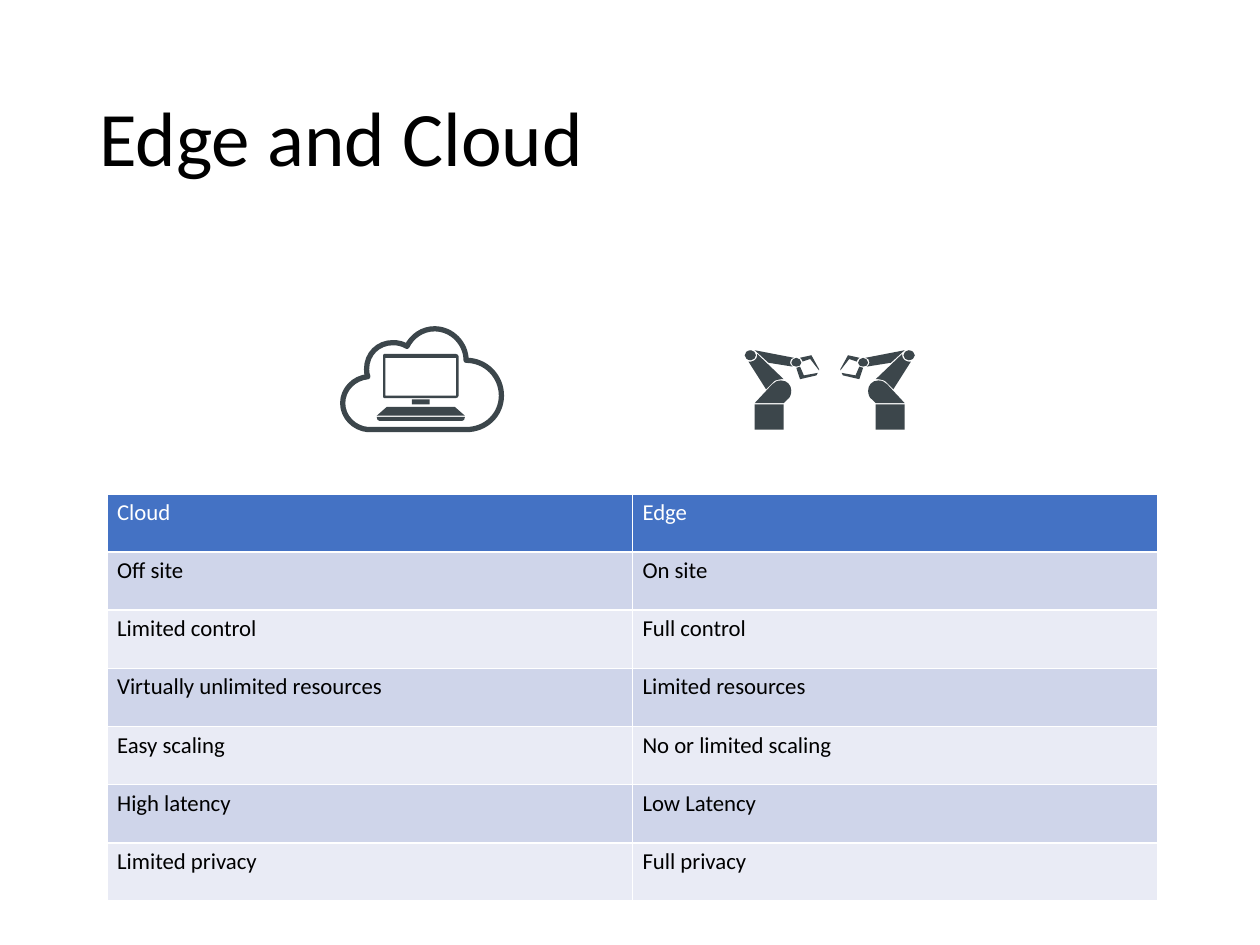
from lxml.etree import SubElement as Sub
from pptx import Presentation
from pptx.dml.color import RGBColor as Rgb
from pptx.enum.text import MSO_ANCHOR as Anchor
from pptx.oxml.ns import qn
from pptx.util import Inches, Pt


class Theme:
    font = "Calibri"
    title, body = 44, 13
    black, white = "000000", "FFFFFF"
    head, bands = "4472C4", ("E9EBF5", "CFD5EA")
    icon = "3C464B"


def write(frame, text, size=Theme.body, color=Theme.black, space=1.0):
    frame.word_wrap = True
    para = frame.paragraphs[0]
    para.line_spacing = space
    run = para.add_run()
    run.text = text
    run.font.name = Theme.font
    run.font.size = Pt(size)
    run.font.color.rgb = Rgb.from_string(color)


def trace(loops, axis=None):
    pen, steps = None, []
    for loop in loops:
        dots = [
            [(Inches(2 * axis - x if axis else x), Inches(y))
             for x, y in zip(step[::2], step[1::2])]
            for step in loop
        ]
        if pen is None:
            pen = slide.shapes.build_freeform(*dots[0][0], scale=1.0)
        else:
            pen.move_to(*dots[0][0])
        pen.add_line_segments([dot[-1] for dot in dots[1:]], close=True)
        steps += dots[1:]
    shape = pen.convert_to_shape()
    lines = list(shape._element.iter(qn("a:lnTo")))
    for line, step in zip(lines, steps):
        if len(step) == 3:
            line.tag = qn("a:cubicBezTo")
            line.clear()
            for x, y in step:
                Sub(line, qn("a:pt"), x=str(x - shape.left), y=str(y - shape.top))
    shape.shadow.inherit = False
    shape.fill.solid()
    shape.fill.fore_color.rgb = Rgb.from_string(Theme.icon)
    shape.line.fill.background()
    return shape


deck = Presentation()
deck.slide_width, deck.slide_height = Inches(10), Inches(7.5)
slide = deck.slides.add_slide(deck.slide_layouts[6])

title = slide.shapes.add_textbox(Inches(0.69), Inches(0.4), Inches(8.62), Inches(1.45)).text_frame
title.vertical_anchor = Anchor.MIDDLE
write(title, "Edge and Cloud", size=Theme.title, space=0.9)

rows = [
    ("Cloud", "Edge"),
    ("Off site", "On site"),
    ("Limited control", "Full control"),
    ("Virtually unlimited resources", "Limited resources"),
    ("Easy scaling", "No or limited scaling"),
    ("High latency", "Low Latency"),
    ("Limited privacy", "Full privacy"),
]
grid = slide.shapes.add_table(
    len(rows), 2, Inches(0.85), Inches(3.92), Inches(8.34), Inches(3.23)
).table
for r, row in enumerate(rows):
    for c, text in enumerate(row):
        cell = grid.cell(r, c)
        cell.margin_left = cell.margin_right = Inches(0.08)
        cell.margin_top = cell.margin_bottom = Inches(0.04)
        props = cell._tc.get_or_add_tcPr()
        for side in "LRTB":
            edge = Sub(props, qn(f"a:ln{side}"), w=str(Pt(1)))
            Sub(Sub(edge, qn("a:solidFill")), qn("a:srgbClr"), val=Theme.white)
        cell.fill.solid()
        cell.fill.fore_color.rgb = Rgb.from_string(Theme.bands[r % 2] if r else Theme.head)
        write(cell.text_frame, text, color=Theme.black if r else Theme.white)

cloud = trace([[
    (3.7, 3.41), (2.92, 3.41),
    (2.81, 3.4, 2.72, 3.31, 2.72, 3.2),
    (2.72, 3.09, 2.81, 3, 2.92, 2.99),
    (2.91, 2.97, 2.91, 2.95, 2.91, 2.93),
    (2.91, 2.81, 3, 2.72, 3.12, 2.72),
    (3.16, 2.72, 3.2, 2.73, 3.23, 2.75),
    (3.27, 2.67, 3.35, 2.61, 3.45, 2.61),
    (3.59, 2.61, 3.7, 2.73, 3.7, 2.86),
    (3.86, 2.86, 3.98, 2.99, 3.98, 3.14),
    (3.98, 3.29, 3.86, 3.41, 3.7, 3.41),
]])
cloud.fill.background()
cloud.line.color.rgb = Rgb.from_string(Theme.icon)
cloud.line.width = Pt(3)

boxes = [(3.06, 2.84, 3.62, 3.14), (3.27, 3.17, 3.41, 3.21)]
trace([[(l, t), (r, t), (r, b), (l, b)] for l, t, r, b in boxes] + [
    [(3.04, 2.83), (3.04, 2.82, 3.04, 2.81, 3.05, 2.81), (3.62, 2.81),
     (3.63, 2.81, 3.64, 2.82, 3.64, 2.83), (3.64, 3.14),
     (3.64, 3.15, 3.63, 3.16, 3.62, 3.16), (3.05, 3.16),
     (3.04, 3.16, 3.04, 3.15, 3.04, 3.14)],
    [(2.99, 3.31), (3.69, 3.31), (3.69, 3.33, 3.68, 3.34, 3.67, 3.34),
     (3.01, 3.34), (3, 3.34, 2.99, 3.33, 2.99, 3.31)],
    [(3.07, 3.23), (3.61, 3.23), (3.69, 3.3), (2.99, 3.3)],
])

robot = [
    [(6.5, 2.93), (6.5, 2.94), (6.43, 2.85), (6.37, 2.87),
     (6.37, 2.86, 6.36, 2.85, 6.35, 2.84), (6.44, 2.82)],
    [(6.32, 2.92), (6.33, 2.92, 6.34, 2.92, 6.35, 2.91), (6.38, 2.98),
     (6.49, 2.96), (6.48, 2.98), (6.35, 3.01)],
    [(6.22, 3.41), (5.99, 3.41), (5.99, 3.21), (6.22, 3.21)],
    [(5.96, 2.86), (5.93, 2.86, 5.91, 2.84, 5.91, 2.82), (5.91, 2.8, 5.93, 2.78, 5.96, 2.78),
     (5.98, 2.78, 6, 2.8, 6, 2.82), (6, 2.84, 5.98, 2.86, 5.96, 2.86)],
    [(6.32, 2.91), (6.3, 2.91, 6.28, 2.9, 6.28, 2.88), (6.28, 2.86, 6.3, 2.84, 6.32, 2.84),
     (6.34, 2.84, 6.36, 2.86, 6.36, 2.88), (6.36, 2.9, 6.34, 2.91, 6.32, 2.91)],
    [(6.25, 3.17), (6.22, 3.2), (5.99, 3.2), (6.13, 3.05),
     (6.15, 3.03, 6.17, 3.02, 6.2, 3.02), (6.25, 3.02, 6.28, 3.06, 6.28, 3.1),
     (6.28, 3.13, 6.27, 3.16, 6.25, 3.17)],
    [(6.2, 3.01), (6.18, 3.01, 6.15, 3.02, 6.14, 3.03), (6.08, 3.09), (5.94, 2.87),
     (5.96, 2.87), (5.98, 2.87, 6.01, 2.85, 6.01, 2.82), (6.01, 2.81), (6.22, 3.01)],
    [(6.27, 2.88), (6.27, 2.89, 6.28, 2.9, 6.29, 2.91), (6.1, 2.88), (5.99, 2.78),
     (6.3, 2.84), (6.28, 2.84, 6.27, 2.86, 6.27, 2.88)],
]
for axis in (None, 6.585):
    trace(robot, axis)

deck.save("out.pptx")
